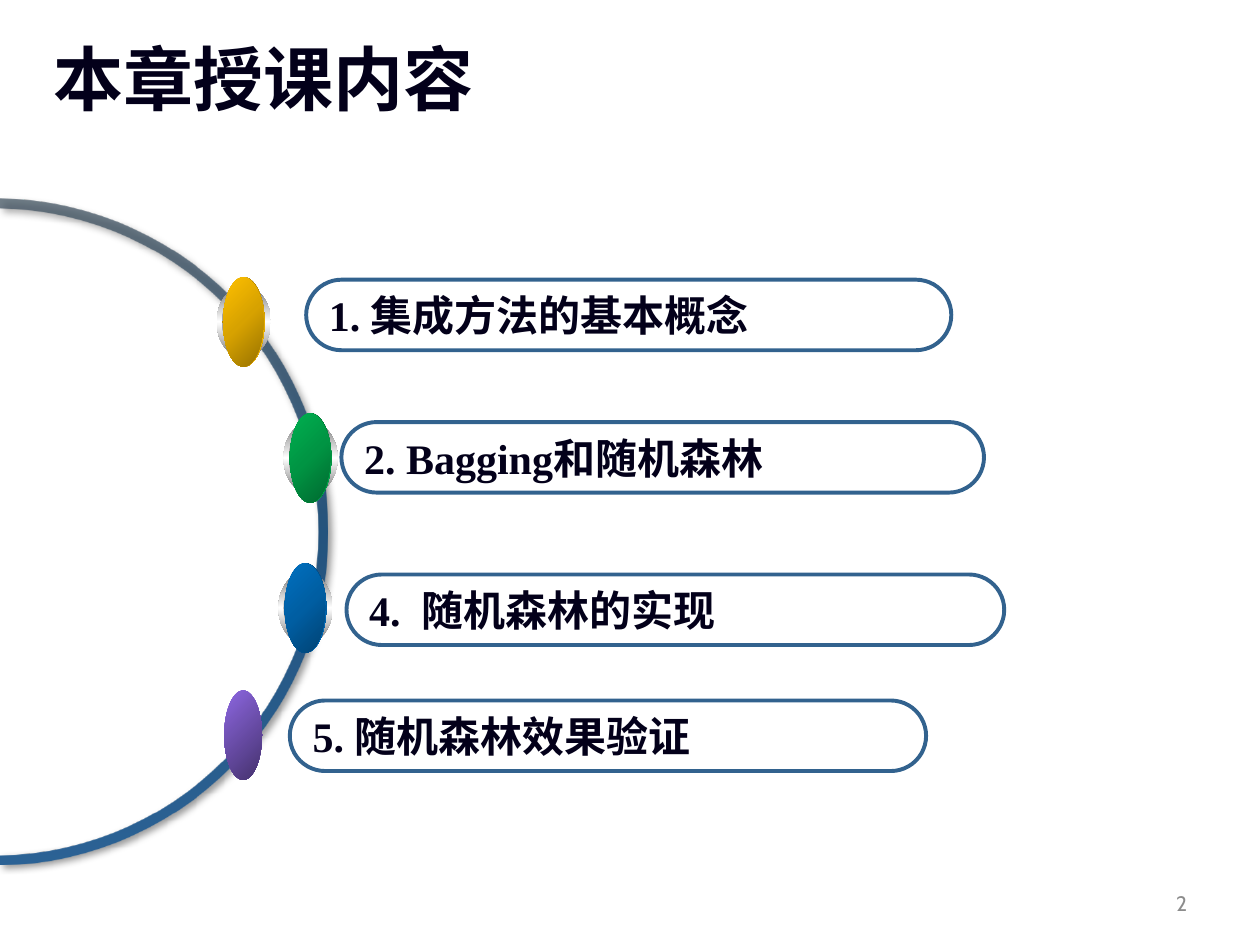
from math import acos, cos, sin

from lxml.etree import SubElement
from pptx import Presentation
from pptx.dml.color import RGBColor
from pptx.enum.shapes import MSO_SHAPE
from pptx.enum.text import MSO_ANCHOR, PP_ALIGN
from pptx.oxml.ns import qn
from pptx.util import Inches, Pt

# Content
TITLE = "本章授课内容"
PAGE_NUMBER = "2"
TOPICS = [  # text, left, top, width
    ("5. 随机森林效果验证", 2.3, 5.56, 5.05),
    ("4.  随机森林的实现", 2.75, 4.56, 5.22),
    ("2. Bagging和随机森林", 2.71, 3.35, 5.1),
    ("1. 集成方法的基本概念", 2.43, 2.22, 5.12),
]
BEADS = [  # left, top, colours from dark to bright
    (2.25, 3.35, ("00682F", "009443", "00B050")),
    (1.72, 2.27, ("977200", "D7A200", "FFC000")),
    (2.21, 4.54, ("004272", "005EA2", "0070C0")),
]

# Look
INK = RGBColor(0x03, 0x00, 0x1A)
GREY = RGBColor(0x8C, 0x8C, 0x8C)
PILL_BLUE = RGBColor(0x32, 0x62, 0x8E)
ARC_COLOURS = ("445462", "24537D", "2B6295")
PURPLE = ("8D67E1", "45326D")
RIM = ("767676", "FFFFFF", "767676")
DISH = ("A2A2A2", "FFFFFF", "A2A2A2")
CJK_FONT = "Noto Sans CJK SC"
TITLE_FONT = {"name": CJK_FONT, "size": Pt(40), "bold": True}
TOPIC_FONT = {"name": "Times New Roman", "size": Pt(24), "bold": True}
NUMBER_FONT = {"name": "Cabin", "size": Pt(12)}

PILL_HEIGHT = 0.56
ARC_X, ARC_Y = -0.04, 4.22
ARC_OUTER, ARC_INNER = 2.64, 2.56
ARC_STEPS = 60


def write(shape, text, font, colour, align=PP_ALIGN.LEFT):
    para = shape.text_frame.paragraphs[0]
    para.alignment = align
    span = para.add_run()
    span.text = text
    for name, value in font.items():
        setattr(span.font, name, value)
    span.font.color.rgb = colour
    SubElement(span.font._element, qn("a:ea"), typeface=CJK_FONT)
    return para


def shade(shape, colours, angle=None, first_alpha=None):
    """Gradient fill: linear at a clockwise angle, or round from the lower right."""
    shape.fill.gradient()
    gradient = shape._element.spPr.find(qn("a:gradFill"))
    for child in list(gradient):
        gradient.remove(child)
    stops = SubElement(gradient, qn("a:gsLst"))
    for index, colour in enumerate(colours):
        position = index * 100000 // (len(colours) - 1)
        stop = SubElement(stops, qn("a:gs"), pos=str(position))
        tone = SubElement(stop, qn("a:srgbClr"), val=colour)
        if first_alpha and index == 0:
            SubElement(tone, qn("a:alpha"), val=str(first_alpha * 1000))
    if angle is None:
        circle = SubElement(gradient, qn("a:path"), path="circle")
        SubElement(circle, qn("a:fillToRect"), l="100000", t="100000")
    else:
        SubElement(gradient, qn("a:lin"), ang=str(angle * 60000), scaled="0")
    shape.line.fill.background()
    shape.shadow.inherit = False


def add_oval(parent, left, top, width, height, colours, angle=None):
    oval = parent.shapes.add_shape(
        MSO_SHAPE.OVAL, Inches(left), Inches(top), Inches(width), Inches(height))
    shade(oval, colours, angle)


def arc_points(radius):
    """Points from top to bottom, cut off at the left edge of the page."""
    limit = acos(-ARC_X / radius)
    angles = [limit * (2 * step / ARC_STEPS - 1) for step in range(ARC_STEPS + 1)]
    return [(Inches(ARC_X + radius * cos(angle)), Inches(ARC_Y + radius * sin(angle)))
            for angle in angles]


deck = Presentation()
deck.slide_width, deck.slide_height = Inches(10), Inches(7.5)
page = deck.slides.add_slide(deck.slide_layouts[6])

# Page number and title
box = page.shapes.add_textbox(Inches(7.19), Inches(6.97), Inches(2.33), Inches(0.4))
box.text_frame.word_wrap = True
box.text_frame.vertical_anchor = MSO_ANCHOR.MIDDLE
write(box, PAGE_NUMBER, NUMBER_FONT, GREY, PP_ALIGN.RIGHT)

box = page.shapes.add_textbox(Inches(0.33), Inches(0.36), Inches(9), Inches(0.94))
box.text_frame.word_wrap = True
write(box, TITLE, TITLE_FONT, INK).line_spacing = 0.8

# Large arc with a soft shadow
outline = arc_points(ARC_OUTER) + arc_points(ARC_INNER)[::-1]
builder = page.shapes.build_freeform(*outline[0])
builder.add_line_segments(outline[1:], close=True)
arc = builder.convert_to_shape()
shade(arc, ARC_COLOURS, 90, first_alpha=75)
effects = arc._element.spPr.find(qn("a:effectLst"))
shadow = SubElement(effects, qn("a:outerShdw"), blurRad=str(Pt(4)), dist=str(Pt(3)),
                    dir=str(45 * 60000), algn="tl", rotWithShape="0")
SubElement(SubElement(shadow, qn("a:srgbClr"), val="000000"), qn("a:alpha"), val="40000")

# Topic pills
for text, left, top, width in TOPICS:
    pill = page.shapes.add_shape(
        MSO_SHAPE.ROUNDED_RECTANGLE,
        Inches(left), Inches(top), Inches(width), Inches(PILL_HEIGHT))
    pill.adjustments[0] = 0.5
    pill.shadow.inherit = False
    pill.fill.background()
    pill.line.color.rgb = PILL_BLUE
    pill.line.width = Pt(2.25)
    pill.text_frame.word_wrap = False
    pill.text_frame.vertical_anchor = MSO_ANCHOR.MIDDLE
    write(pill, text, TOPIC_FONT, INK)

# Beads on the arc: the plain one, then those with a silver rim
add_oval(page, 1.78, 5.48, 0.3, 0.71, PURPLE, 45)
for left, top, colours in BEADS:
    bead = page.shapes.add_group_shape()
    add_oval(bead, left, top, 0.43, 0.57, RIM, 90)
    add_oval(bead, left + 0.04, top + 0.06, 0.34, 0.45, DISH, 0)
    add_oval(bead, left + 0.05, top - 0.07, 0.33, 0.71, colours, 45)
    add_oval(bead, left + 0.05, top - 0.07, 0.32, 0.71, colours)

deck.save("out.pptx")
